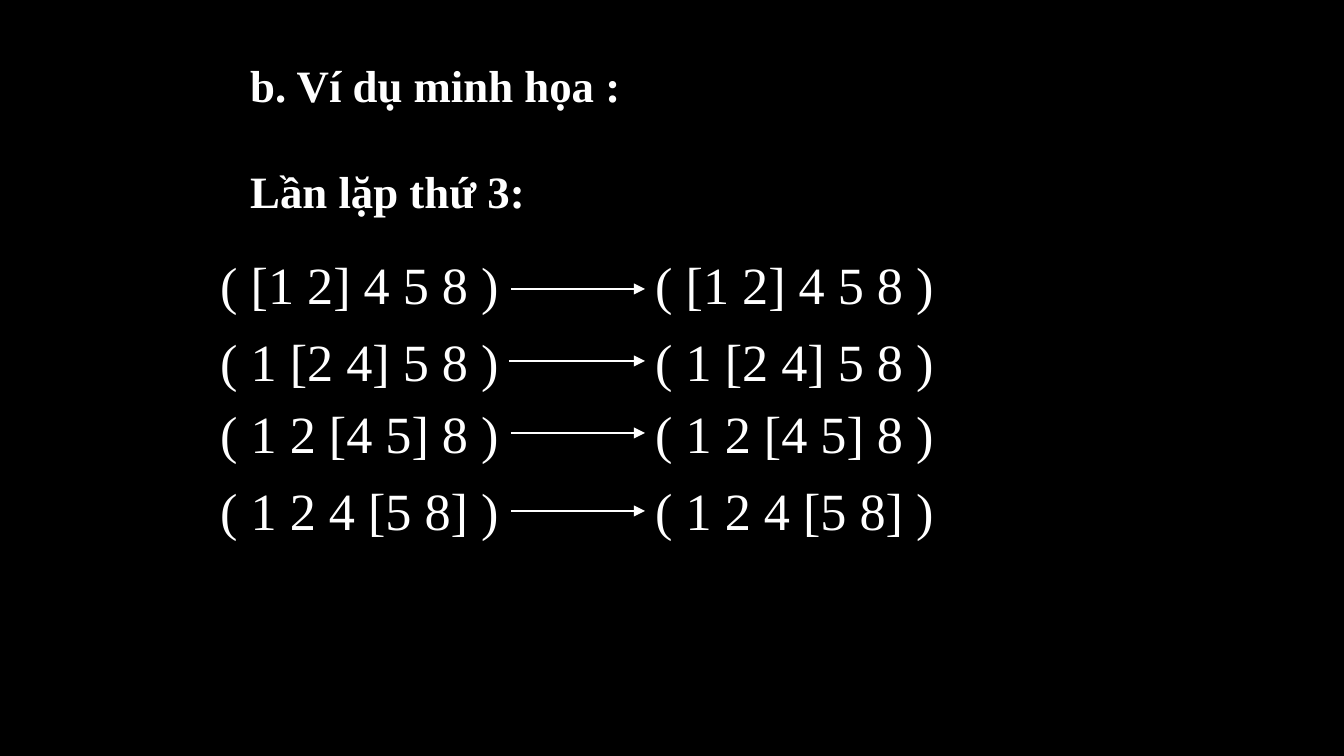
from dataclasses import dataclass

import lxml.etree
import pptx
import pptx.dml.color
import pptx.enum.dml
import pptx.enum.shapes
import pptx.enum.text
import pptx.oxml.ns
import pptx.util

EMU_PER_PX = 914400 / 134.4
COLORS = {"background": "000000", "foreground": "FFFFFF"}
FONT = "Times New Roman"
ROW_LEFT, ROW_WIDTH, ROW_HEIGHT = 207, 876, 77
RESULT_TAB = 435
ARROW_END = 645


@dataclass(frozen=True)
class Step:
    """One comparison: the list before and after, and its arrow."""
    before: str
    after: str
    top: int
    arrow_left: int
    arrow_y: int


STEPS = [
    Step("( [1 2] 4 5 8 )", "( [1 2] 4 5 8 )", 246, 511, 289),
    Step("( 1 [2 4] 5 8 )", "( 1 [2 4] 5 8 )", 323, 509, 361),
    Step("( 1 2 [4 5] 8 )", "( 1 2 [4 5] 8 )", 395, 511, 433),
    Step("( 1 2 4 [5 8] )", "( 1 2 4 [5 8] )", 472, 511, 511),
]


def px(value: int) -> pptx.util.Emu:
    return pptx.util.Emu(round(value * EMU_PER_PX))


def color(name: str) -> pptx.dml.color.RGBColor:
    return pptx.dml.color.RGBColor.from_string(COLORS[name])


def add_text_frame(slide, left: int, top: int, width: int, height: int):
    box = slide.shapes.add_textbox(px(left), px(top), px(width), px(height))
    frame = box.text_frame
    frame.word_wrap = True
    frame.auto_size = pptx.enum.text.MSO_AUTO_SIZE.SHAPE_TO_FIT_TEXT
    return frame


def add_run(paragraph, text: str, size: int, bold: bool = False) -> None:
    run = paragraph.add_run()
    run.text = text
    run.font.name = FONT
    run.font.size = pptx.util.Pt(size)
    run.font.bold = bold
    run.font.color.rgb = color("foreground")


def add_headings(slide, title: str, subtitle: str) -> None:
    frame = add_text_frame(slide, 237, 51, 637, 176)
    add_run(frame.paragraphs[0], title, 24, bold=True)
    paragraph = frame.add_paragraph()
    paragraph.space_before = pptx.util.Pt(28)
    add_run(paragraph, subtitle, 24, bold=True)


def add_step_text(slide, step: Step) -> None:
    frame = add_text_frame(slide, ROW_LEFT, step.top, ROW_WIDTH, ROW_HEIGHT)
    paragraph = frame.paragraphs[0]
    # A tab stop lines up the right-hand column
    properties = paragraph._p.get_or_add_pPr()
    tabs = lxml.etree.SubElement(properties, pptx.oxml.ns.qn("a:tabLst"))
    lxml.etree.SubElement(tabs, pptx.oxml.ns.qn("a:tab"),
                          pos=str(px(RESULT_TAB)), algn="l")
    add_run(paragraph, f"{step.before}\t{step.after}", 28)


def add_arrow(slide, step: Step) -> None:
    arrow = slide.shapes.add_connector(
        pptx.enum.shapes.MSO_CONNECTOR.STRAIGHT,
        px(step.arrow_left), px(step.arrow_y), px(ARROW_END), px(step.arrow_y))
    arrow.line.color.rgb = color("foreground")
    arrow.line.width = pptx.util.Pt(0.75)
    lxml.etree.SubElement(arrow.line._get_or_add_ln(),
                          pptx.oxml.ns.qn("a:tailEnd"), type="triangle")
    lxml.etree.SubElement(arrow._element.spPr, pptx.oxml.ns.qn("a:effectLst"))


def main() -> None:
    presentation = pptx.Presentation()
    presentation.slide_width = px(1344)
    presentation.slide_height = px(756)
    slide = presentation.slides.add_slide(presentation.slide_layouts[6])
    slide.background.fill.solid()
    slide.background.fill.fore_color.rgb = color("background")

    # Headings
    add_headings(slide, "b. Ví dụ minh họa :", "Lần lặp thứ 3:")

    # Comparison rows, then their arrows on top
    for step in STEPS:
        add_step_text(slide, step)
    for step in STEPS:
        add_arrow(slide, step)

    presentation.save("out.pptx")


if __name__ == "__main__":
    main()
